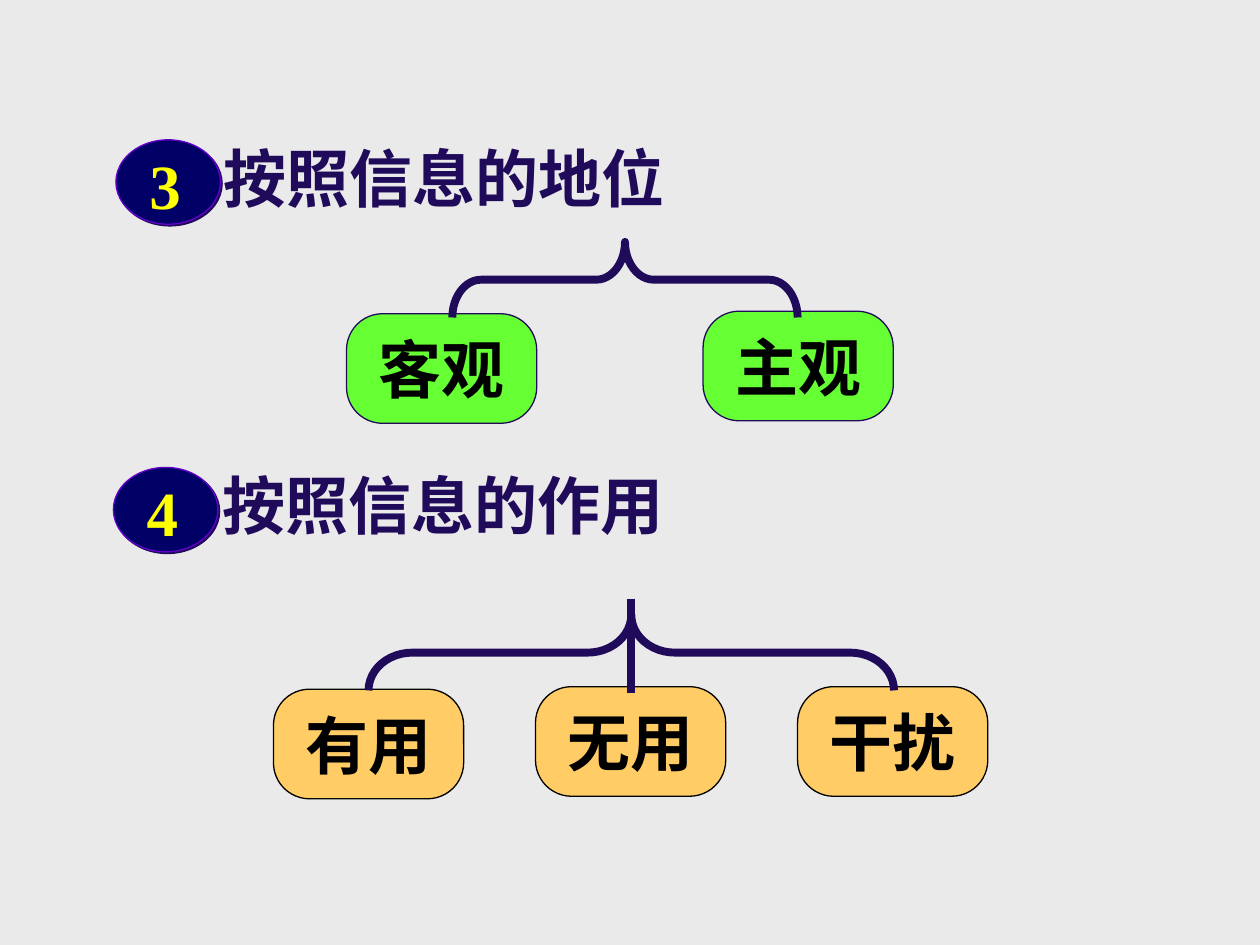
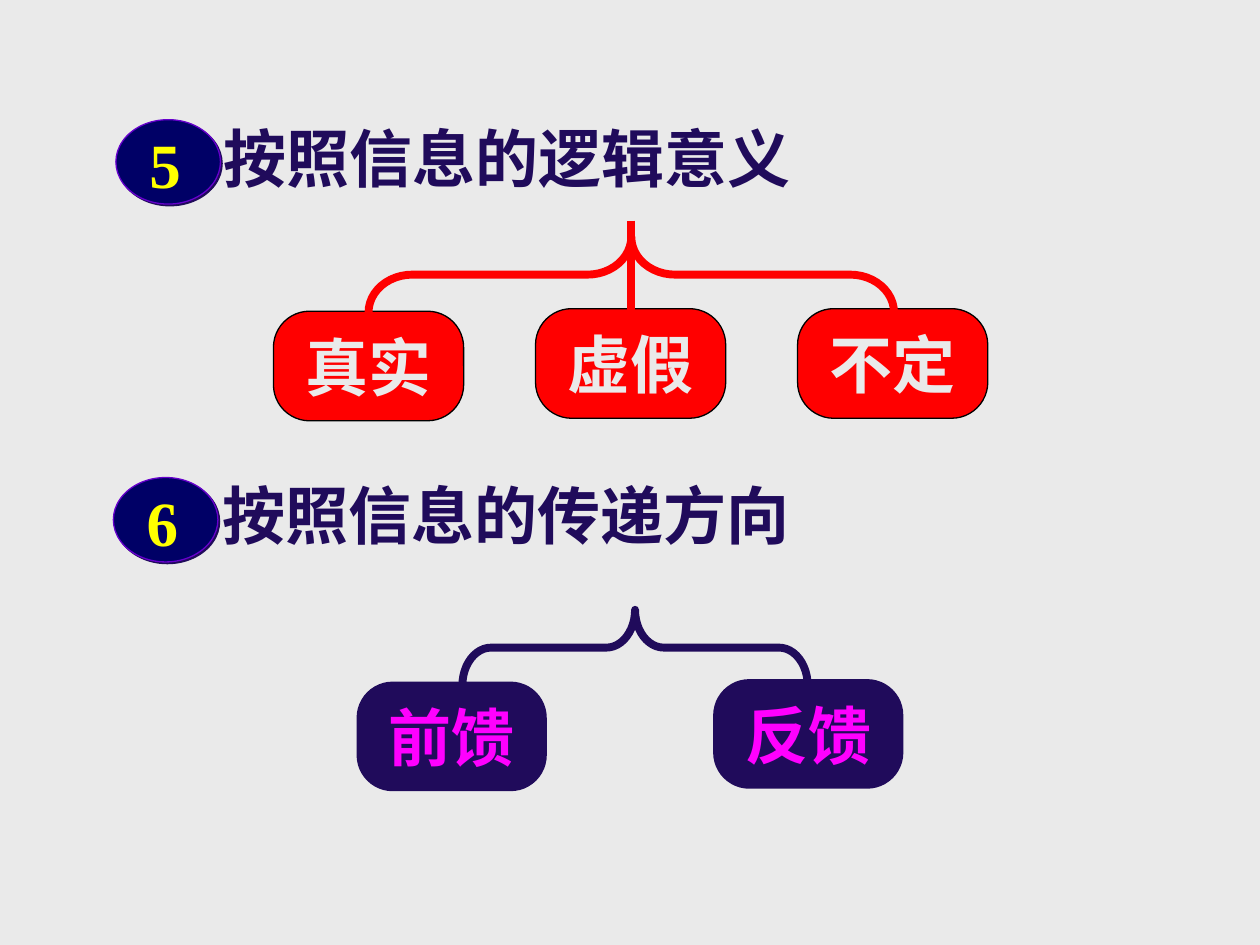
from dataclasses import dataclass

from lxml.etree import SubElement as Sub
from pptx import Presentation
from pptx.dml.color import RGBColor as Rgb
from pptx.enum.lang import MSO_LANGUAGE_ID as Lang
from pptx.enum.shapes import MSO_CONNECTOR as Link, MSO_SHAPE as Form
from pptx.enum.text import MSO_ANCHOR as Anchor, MSO_AUTO_SIZE as Auto, PP_ALIGN as Align
from pptx.oxml.ns import qn
from pptx.util import Inches, Pt


@dataclass(frozen=True)
class Theme:
    paper: str = "EAEAEA"
    ink: str = "200B5B"
    black: str = "000000"
    navy: str = "000066"
    rim: str = "6600CC"
    yellow: str = "FFFF00"
    green: str = "66FF33"
    amber: str = "FFCC66"
    red: str = "FF0000"
    pink: str = "FF00FF"
    serif: str = "Times New Roman"
    sans: str = "Arial"
    size: float = 36
    thin: float = 0.75
    thick: float = 4.5


class Deck:
    def __init__(self, theme):
        self.theme = theme
        self.file = Presentation()
        self.file.slide_width = Inches(10)
        self.file.slide_height = Inches(7.5)
        fill = self.file.slide_master.background.fill
        fill.solid()
        fill.fore_color.rgb = Rgb.from_string(theme.paper)

    def page(self):
        self.slide = self.file.slides.add_slide(self.file.slide_layouts[5])
        self.fresh = True

    def letter(self, shape, text, font, color, align=Align.CENTER):
        frame = shape.text_frame
        frame.auto_size = Auto.NONE
        frame.word_wrap = True
        frame.vertical_anchor = Anchor.MIDDLE
        frame.text = text
        par = frame.paragraphs[0]
        par.alignment = align
        style = par.font
        style.name = font
        style.size = Pt(self.theme.size)
        style.bold = True
        style.color.rgb = Rgb.from_string(color)
        style.language_id = Lang.SIMPLIFIED_CHINESE

    def stroke(self, line, color, width):
        if color is None:
            line.fill.background()
            return
        line.color.rgb = Rgb.from_string(color)
        line.width = Pt(width)

    def shape(self, form, left, top, width, height, fill, edge):
        item = self.slide.shapes.add_shape(
            form, Inches(left), Inches(top), Inches(width), Inches(height))
        item.shadow.inherit = False
        item.fill.solid()
        item.fill.fore_color.rgb = Rgb.from_string(fill)
        self.stroke(item.line, edge, self.theme.thin)
        return item

    def node(self, left, top, text, fill, edge, color):
        item = self.shape(Form.ROUNDED_RECTANGLE, left, top, 1.51, 0.87, fill, edge)
        item.adjustments[0] = 0.33
        self.letter(item, text, self.theme.sans, color)

    def brace(self, mid, top, span, color):
        depth = 0.6
        item = self.slide.shapes.add_shape(
            Form.LEFT_BRACE, Inches(mid - depth / 2), Inches(top + depth / 2 - span / 2),
            Inches(depth), Inches(span))
        item.rotation = 90
        item.adjustments[0] = span / 12 / depth
        item.shadow.inherit = False
        item.fill.background()
        self.stroke(item.line, color, self.theme.thick)

    def stem(self, mid, top, end, color):
        item = self.slide.shapes.add_connector(
            Link.STRAIGHT, Inches(mid), Inches(top), Inches(mid), Inches(end))
        self.stroke(item.line, color, self.theme.thick)
        Sub(item._element.spPr, qn("a:effectLst"))

    def tree(self, left, top, names, fill, edge, color, line):
        three = len(names) == 3
        step, mid, span = (2.08, 2.84, 4.17) if three else (2.83, 2.21, 2.74)
        for i, name in enumerate(names):
            drop = 0.02 if i else 0
            self.node(left + i * step, top - drop, name, fill, edge, color)
        self.brace(left + mid, top - (0.59 if three else 0.57), span, line)
        if three:
            self.stem(left + mid, top - 0.72, top + 0.03, line)

    def label(self, left, top, width, height, text, color, align):
        if self.fresh:
            item = self.slide.shapes.title
            self.fresh = False
        else:
            item = self.slide.shapes.add_textbox(0, 0, 0, 0)
        item.left, item.top = Inches(left), Inches(top)
        item.width, item.height = Inches(width), Inches(height)
        self.letter(item, text, self.theme.serif, color, align)

    def badge(self, left, top, mark):
        look = self.theme
        item = self.shape(Form.OVAL, left, top, 0.83, 0.67, look.navy, look.rim)
        glow = Sub(item._element.spPr.find(qn("a:effectLst")), qn("a:outerShdw"),
                   dist=str(Pt(1.4)), dir="2700000", algn="ctr", rotWithShape="0")
        Sub(glow, qn("a:srgbClr"), val=look.ink)
        self.label(left + 0.16, top, 0.46, 0.7, mark, look.yellow, Align.CENTER)

    def head(self, left, top, mark, text):
        self.label(1.67, top - 0.08, 0.5 * len(text) + 0.4, 0.75, text,
                   self.theme.ink, Align.LEFT)
        self.badge(left, top, mark)


def main():
    look = Theme()
    deck = Deck(look)

    deck.page()
    deck.head(0.92, 1.11, "3", "按照信息的地位")
    deck.tree(2.75, 2.49, ["客观", "主观"], look.green, look.ink, look.black, look.ink)
    deck.head(0.9, 3.71, "4", "按照信息的作用")
    deck.tree(2.17, 5.47, ["有用", "无用", "干扰"],
              look.amber, look.black, look.black, look.ink)

    deck.page()
    deck.head(0.92, 0.95, "5", "按照信息的逻辑意义")
    deck.tree(2.17, 2.47, ["真实", "虚假", "不定"],
              look.red, look.black, look.paper, look.red)
    deck.head(0.9, 3.79, "6", "按照信息的传递方向")
    deck.tree(2.83, 5.41, ["前馈", "反馈"], look.ink, None, look.pink, look.ink)

    deck.file.save("out.pptx")


if __name__ == "__main__":
    main()
